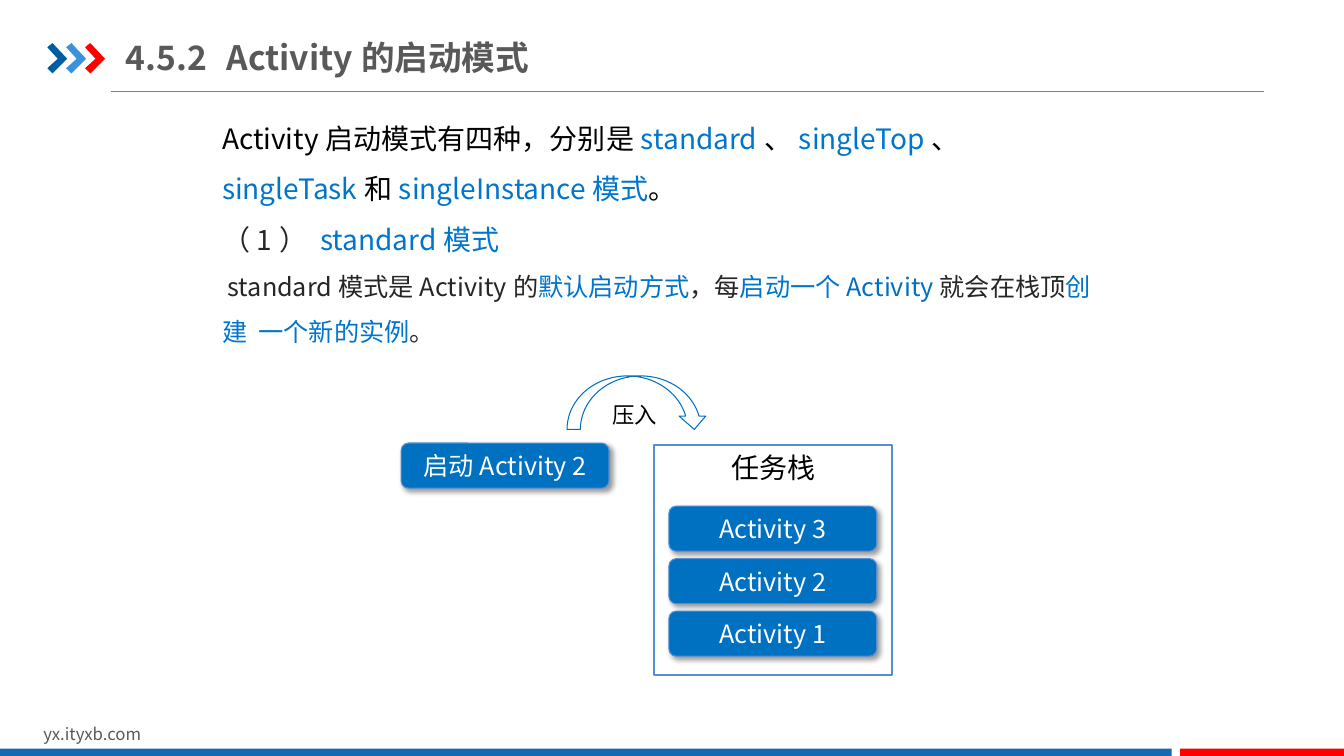
from dataclasses import dataclass

import pptx
import pptx.dml.color
import pptx.enum.shapes
import pptx.enum.text
import pptx.oxml
import pptx.oxml.ns
import pptx.util

PX = 9525
FONT = "Noto Sans CJK SC"
COLORS = {
    "black": "000000", "white": "FFFFFF", "ink": "262626", "grey": "595959",
    "rule": "808080", "term": "0075CC", "button": "0070C0", "edge": "558ED5",
    "navy": "005DA2", "sky": "3992DB", "red": "FF0000", "bar": "1369B2",
}
SHAPES = pptx.enum.shapes.MSO_SHAPE
ANCHORS = pptx.enum.text.MSO_ANCHOR
CENTER = pptx.enum.text.PP_ALIGN.CENTER


@dataclass
class Area:
    left: int
    top: int
    width: int
    height: int

    def emu(self) -> tuple[int, ...]:
        return tuple(px(n) for n in (self.left, self.top, self.width, self.height))


@dataclass
class Span:
    text: str
    color: str
    size: int = 20
    bold: bool = False


@dataclass
class Button:
    text: str
    left: int
    top: int


def px(length: int) -> int:
    return pptx.util.Emu(length * PX)


def rgb(name: str) -> pptx.dml.color.RGBColor:
    return pptx.dml.color.RGBColor.from_string(COLORS[name])


def write(para, spans: list[Span]) -> None:
    for span in spans:
        run = para.add_run()
        run.text = span.text
        run.font.name = FONT
        run.font.size = pptx.util.Pt(span.size)
        run.font.bold = span.bold
        run.font.color.rgb = rgb(span.color)
        east_asian = run.font._element.makeelement(pptx.oxml.ns.qn("a:ea"), {"typeface": FONT})
        run.font._element.append(east_asian)


def add_text(page, area: Area, paragraphs: list[list[Span]], spacing: float = 1.0):
    box = page.shapes.add_textbox(*area.emu())
    frame = box.text_frame
    frame.word_wrap = True
    for index, spans in enumerate(paragraphs):
        para = frame.add_paragraph() if index else frame.paragraphs[0]
        para.line_spacing = spacing
        write(para, spans)
    return box


def paint(shape, fill: str = "", line: str = "", width: float = 0.75) -> None:
    shape.shadow.inherit = False
    if fill:
        shape.fill.solid()
        shape.fill.fore_color.rgb = rgb(fill)
    else:
        shape.fill.background()
    if line:
        shape.line.color.rgb = rgb(line)
        shape.line.width = pptx.util.Pt(width)
    else:
        shape.line.fill.background()


def add_panel(page, kind, area: Area, fill: str = "", line: str = "", width: float = 0.75):
    shape = page.shapes.add_shape(kind, *area.emu())
    paint(shape, fill, line, width)
    return shape


def label(shape, span: Span, anchor) -> None:
    shape.text_frame.vertical_anchor = anchor
    para = shape.text_frame.paragraphs[0]
    para.alignment = CENTER
    write(para, [span])


def add_button(page, button: Button) -> None:
    shape = add_panel(page, SHAPES.ROUNDED_RECTANGLE,
                      Area(button.left, button.top, 198, 43), "button", "edge")
    label(shape, Span(button.text, "white", 18), ANCHORS.MIDDLE)
    effects = shape._element.spPr.find(pptx.oxml.ns.qn("a:effectLst"))
    effects.append(pptx.oxml.parse_xml(
        f'<a:outerShdw {pptx.oxml.ns.nsdecls("a")} blurRad="50800" dist="38100" '
        'dir="2700000" algn="tl" rotWithShape="0"><a:srgbClr val="000000">'
        '<a:alpha val="40000"/></a:srgbClr></a:outerShdw>'))


def add_chevron(page, left: int, color: str) -> None:
    outline = [(0, 45), (5, 41), (19, 56), (5, 70), (0, 65), (10, 56)]
    points = [(left + x, y) for x, y in outline]
    builder = page.shapes.build_freeform(*points[0], scale=PX)
    builder.add_line_segments(points[1:], close=True)
    paint(builder.convert_to_shape(), color)


def add_frame(page) -> None:
    # Header rule and chevrons
    rule = page.shapes.add_connector(pptx.enum.shapes.MSO_CONNECTOR.STRAIGHT,
                                     px(106), px(87), px(1204), px(87))
    rule.line.color.rgb = rgb("rule")
    rule.line.width = pptx.util.Pt(0.75)
    properties = rule._element.spPr
    properties.append(properties.makeelement(pptx.oxml.ns.qn("a:effectLst"), {}))
    for index, color in enumerate(("navy", "sky", "red")):
        add_chevron(page, 45 + 18 * index, color)

    # Footer
    add_text(page, Area(32, 685, 305, 29), [[Span("yx.ityxb.com", "grey", 12)]])
    add_panel(page, SHAPES.RECTANGLE, Area(0, 713, 1116, 7), "bar")
    add_panel(page, SHAPES.RECTANGLE, Area(1124, 713, 156, 7), "red")

    # Title
    title = add_text(page, Area(120, 28, 618, 53),
                     [[Span("4.5.2\tActivity的启动模式", "grey", 24, True)]])
    title.text_frame.margin_left = title.text_frame.margin_right = 0
    title.text_frame.vertical_anchor = ANCHORS.MIDDLE


def add_body(page) -> None:
    modes = [
        Span("Activity启动模式有四种，分别是", "black"), Span("standard", "term"),
        Span("、", "black"), Span("singleTop", "term"),
        Span("、", "black"), Span("singleTask", "term"),
        Span("和", "black"), Span("singleInstance模式", "term"), Span("。", "black"),
    ]
    heading = [Span("（1） ", "ink"), Span("standard模式", "term")]
    detail = [
        Span(" standard模式是Activity的", "ink", 18), Span("默认启动方式", "term", 18),
        Span("，每", "ink", 18), Span("启动一个", "term", 18),
        Span("Activity", "button", 18), Span("就会在栈顶", "ink", 18),
        Span("创建  一个新的实例", "term", 18), Span("。", "ink", 18),
    ]
    add_text(page, Area(202, 95, 854, 242), [modes, heading, detail], 1.5)


def add_diagram(page) -> None:
    # Task stack and its activities
    stack = add_panel(page, SHAPES.RECTANGLE, Area(623, 424, 227, 219), line="edge", width=1.5)
    label(stack, Span("任务栈", "black"), ANCHORS.TOP)
    buttons = [Button(f"Activity {3 - row}", 637, 482 + 50 * row) for row in range(3)]
    for button in [Button("启动Activity 2", 382, 422), *buttons]:
        add_button(page, button)

    # Push arrow
    add_panel(page, SHAPES.CURVED_DOWN_ARROW, Area(540, 358, 134, 51), line="button")
    push = add_text(page, Area(526, 365, 111, 37), [[Span("压入", "black", 16)]], 1.5)
    push.text_frame.paragraphs[0]._p.get_or_add_pPr().set("marL", str(px(48)))


def main() -> None:
    deck = pptx.Presentation()
    deck.slide_width, deck.slide_height = px(1280), px(720)
    page = deck.slides.add_slide(deck.slide_layouts[6])
    add_frame(page)
    add_body(page)
    add_diagram(page)
    deck.save("out.pptx")


if __name__ == "__main__":
    main()
